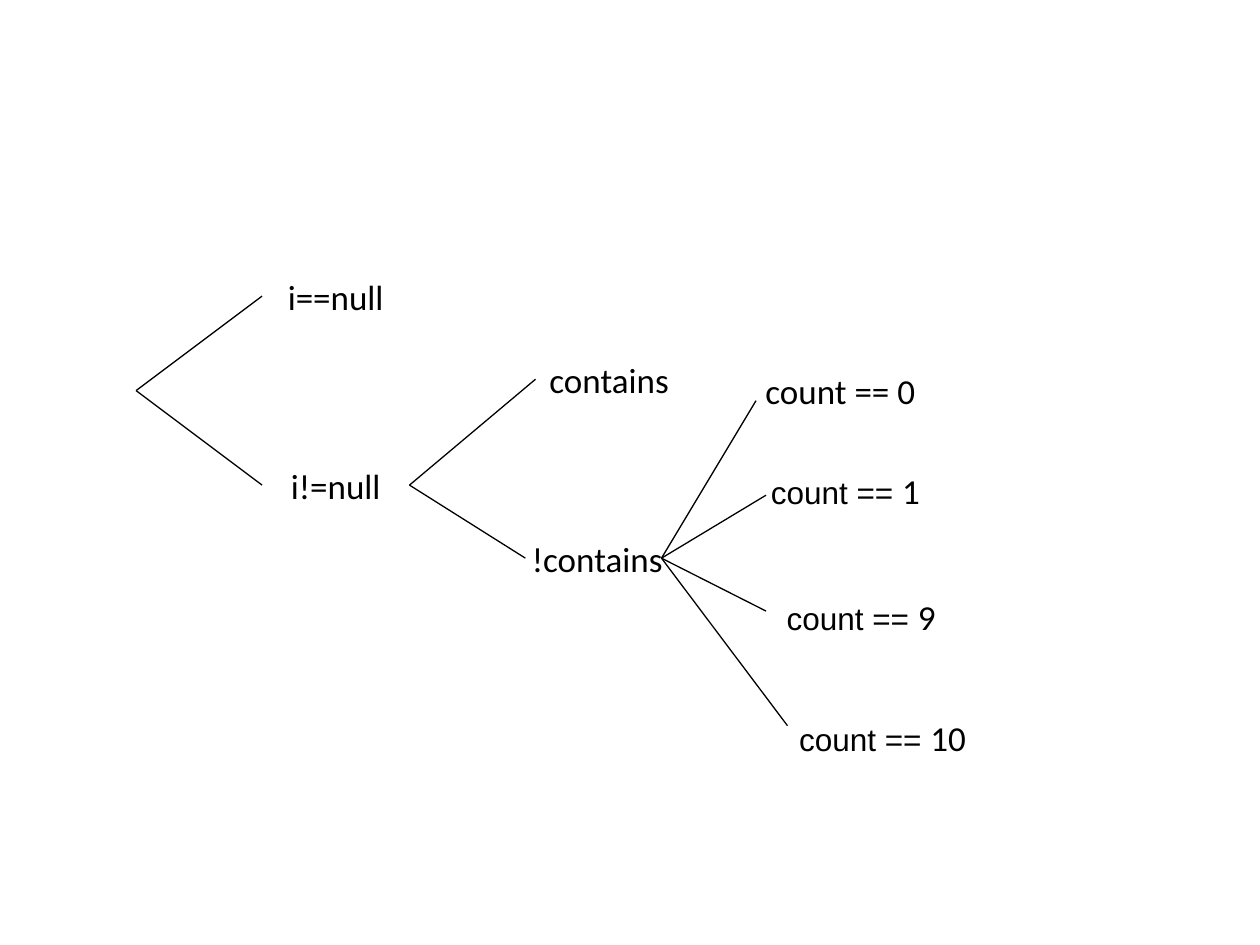
from lxml import etree
from pptx import Presentation
from pptx.dml.color import RGBColor
from pptx.enum import shapes, text
from pptx.oxml import ns
from pptx.util import Inches, Pt


def color(value):
    return RGBColor.from_string(value)


class TreeSlide:
    ink = "000000"
    line_width = 0.75
    plain = ("Calibri", 20)
    small = ("Arial", 18)

    def __init__(self, slide):
        self.s = slide

    def label(self, left, top, width, height, *runs):
        """Add a centred label; each run is (text, (font, size))."""
        sp = self.s.shapes.add_shape(
            shapes.MSO_SHAPE.RECTANGLE, *map(Inches, (left, top, width, height)))
        sp.shadow.inherit = False
        sp.fill.background()
        sp.line.fill.background()
        tf = sp.text_frame
        tf.word_wrap = False
        tf.vertical_anchor = text.MSO_ANCHOR.MIDDLE
        p = tf.paragraphs[0]
        p.alignment = text.PP_ALIGN.CENTER
        for words, (font, size) in runs:
            r = p.add_run()
            r.text = words
            r.font.name = font
            r.font.size = Pt(size)
            r.font.color.rgb = color(self.ink)

    def branches(self, root, *tips):
        """Draw a line from the root point to every tip."""
        for tip in tips:
            sp = self.s.shapes.add_connector(
                shapes.MSO_CONNECTOR.STRAIGHT, *map(Inches, (*root, *tip)))
            sp.line.color.rgb = color(self.ink)
            sp.line.width = Pt(self.line_width)
            etree.SubElement(sp._element.spPr, ns.qn("a:effectLst"))


def main():
    prs = Presentation()
    prs.slide_width, prs.slide_height = Inches(10), Inches(7.5)
    tree = TreeSlide(prs.slides.add_slide(prs.slide_layouts[6]))

    tree.branches((1.08, 3.1), (2.08, 2.35), (2.08, 3.85))
    tree.branches((3.25, 3.85), (4.25, 3.01), (4.17, 4.43))
    tree.branches((5.25, 4.43), (6, 3.18), (6.08, 3.93), (6.08, 4.85), (6.25, 5.76))

    for words, left, top, width in [
        ("i==null", 2.08, 2.1, 1.17),
        ("i!=null", 2.08, 3.6, 1.17),
        ("contains", 4.25, 2.76, 1.17),
        ("!contains", 4.2, 4.18, 1.08),
        ("count == 0", 6.17, 2.85, 1),
    ]:
        tree.label(left, top, width, 0.5, (words, tree.plain))

    for number, left, top, width, height in [
        ("1", 6.17, 3.6, 1.08, 0.58),
        ("9", 6.25, 4.6, 1.17, 0.58),
        ("10", 6.42, 5.6, 1.17, 0.5),
    ]:
        tree.label(left, top, width, height,
                   ("count == ", tree.small), (number, tree.plain))

    prs.save("out.pptx")


if __name__ == "__main__":
    main()
